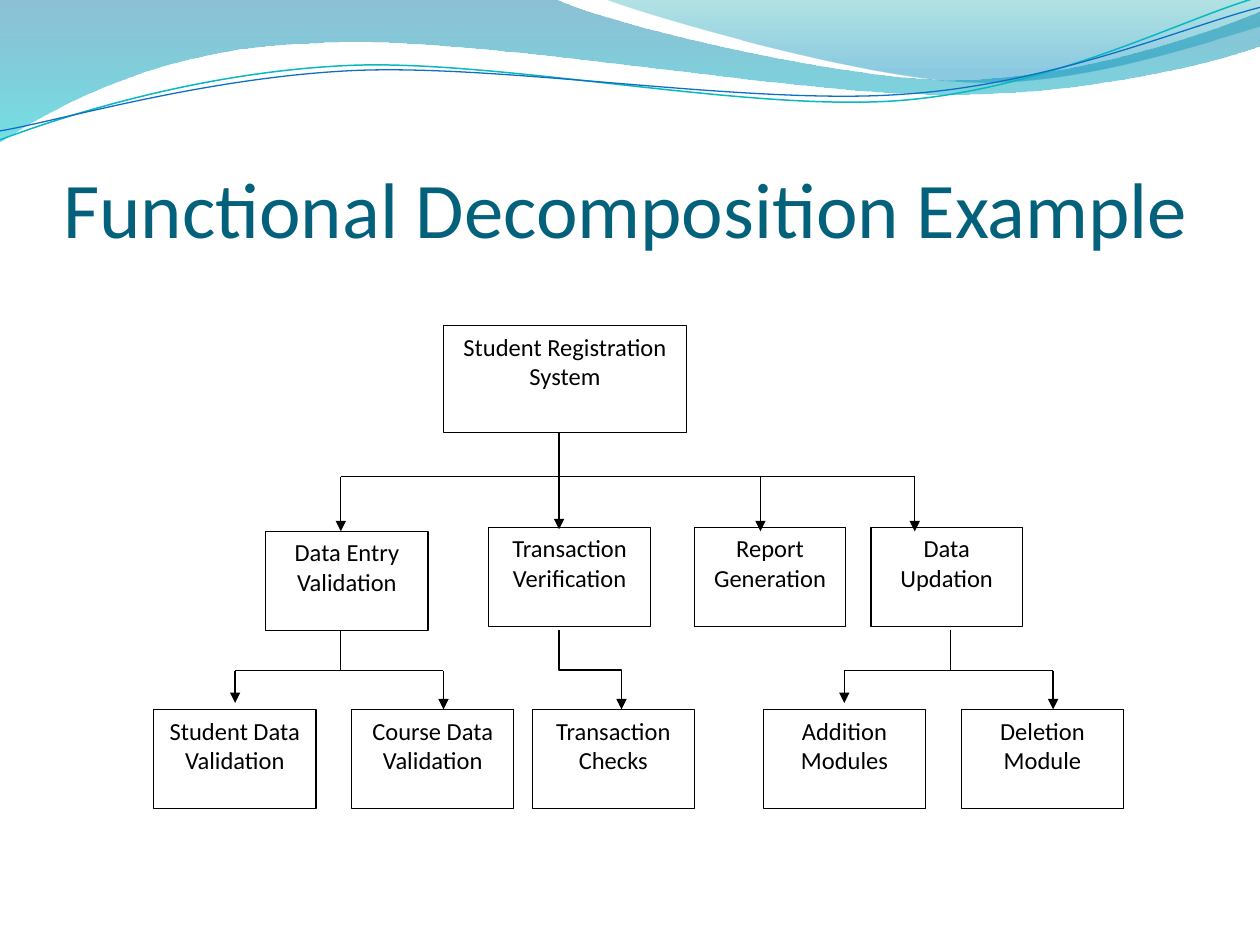
from lxml import etree
from pptx import Presentation
from pptx import util as u
from pptx.dml import color
from pptx.enum import shapes, text
from pptx.oxml import ns

FONT = "Calibri"
BLACK = "000000"

BROAD_WAVE = [
    (0, 0), (11.18, -0.03),
    (12.09, 0.43, 16.87, 1.6, 19.25, 1.6),
    (21.67, 1.6, 24.33, 0.66, 25.4, 0.23), (25.43, 0.91),
    (24.97, 1.12, 22.1, 1.93, 18.95, 1.9),
    (15.8, 1.9, 9.7, 0.71, 6.53, 0.86),
    (3.28, 0.91, 1.17, 2.11, -0.03, 2.87), (0, 0),
]
CORNER_WAVE = [
    (12.17, -0.03),
    (12.93, 0.28, 17.32, 1.57, 19.53, 1.65),
    (21.74, 1.75, 24.41, 0.81, 25.4, 0.53), (25.4, 0), (12.17, -0.03),
]
TEAL_STRAND = [
    (0, 2.82),
    (1.22, 2.36, 4.01, 1.45, 7.04, 1.32),
    (10.03, 1.19, 15.06, 2.26, 18.11, 2.03),
    (21.16, 1.8, 23.83, 0.38, 25.35, -0.05),
]
BLUE_STRAND = [
    (0, 2.64),
    (1.19, 2.44, 4.17, 1.55, 7.19, 1.42),
    (10.24, 1.3, 15.16, 2.13, 18.21, 1.9),
    (21.23, 1.7, 23.9, 0.53, 25.4, 0.15),
]

MODULES = [
    ("Student Registration System", 5.84, 0.01, 4.9, 2.16),
    ("Data Entry Validation", 2.26, 4.16, 3.27, 2),
    ("Transaction Verification", 6.75, 4.08, 3.27, 2),
    ("Report Generation", 10.9, 4.08, 3.05, 2),
    ("Data Updation", 14.46, 4.08, 3.05, 2),
    ("Student Data Validation", 0, 7.75, 3.27, 2),
    ("Course Data Validation", 3.99, 7.75, 3.27, 2),
    ("Transaction Checks", 7.63, 7.75, 3.27, 2),
    ("Addition Modules", 12.29, 7.75, 3.27, 2),
    ("Deletion Module", 16.28, 7.75, 3.27, 2),
]
BRANCHES = [
    (8.17, 2.17, 3.06, [(3.77, 4.16), (8.17, 4.12), (12.23, 4.16), (15.34, 4.16)]),
    (3.77, 6.16, 6.97, [(1.64, 7.62), (5.84, 7.75)]),
    (16.06, 6.16, 6.97, [(13.92, 7.62), (18.13, 7.75)]),
]


def rgb(value):
    """Turn a hex string into a colour."""
    return color.RGBColor.from_string(value)


def write(box, words, size, ink=BLACK, align=text.PP_ALIGN.LEFT, anchor=text.MSO_ANCHOR.TOP):
    """Put one formatted paragraph into a box."""
    frame = box.text_frame
    frame.word_wrap = True
    frame.vertical_anchor = anchor
    para = frame.paragraphs[0]
    para.alignment = align
    span = para.add_run()
    span.text = words
    span.font.name, span.font.size = FONT, u.Pt(size)
    span.font.color.rgb = rgb(ink)


def bend(shape, parts):
    """Merge the three segments of each six-number part into one cubic curve."""
    segments = iter(list(shape._element.spPr.iter(ns.qn("a:lnTo"))))
    for part in parts:
        first = next(segments)
        if len(part) == 6:
            first.tag = ns.qn("a:cubicBezTo")
            for extra in (next(segments), next(segments)):
                first.append(extra[0])
                extra.getparent().remove(extra)


def outline(page, left, top, path, close):
    """Draw a bare freeform of lines and cubic curves."""
    points = [(u.Cm(left + part[i]), u.Cm(top + part[i + 1]))
              for part in path for i in range(0, len(part), 2)]
    builder = page.shapes.build_freeform(*points[0])
    builder.add_line_segments(points[1:], close=close)
    shape = builder.convert_to_shape()
    bend(shape, path[1:])
    shape.shadow.inherit = False
    return shape


def wave(page, left, top, path, stops):
    """Draw a translucent wave shaded from top to bottom."""
    shape = outline(page, left, top, path, True)
    shape.line.fill.background()
    shape.fill.gradient()
    shape.fill.gradient_angle = 270
    for stop, (position, ink, opacity) in zip(shape.fill.gradient_stops, stops):
        stop.position = position
        stop.color.rgb = rgb(ink)
    inks = shape._element.spPr.iter(ns.qn("a:srgbClr"))
    for element, (position, ink, opacity) in zip(inks, stops):
        etree.SubElement(element, ns.qn("a:alpha"), val=str(opacity * 1000))


def strand(page, left, top, path, ink, width):
    """Draw a thin curved line."""
    shape = outline(page, left, top, path, False)
    shape.fill.background()
    shape.line.color.rgb = rgb(ink)
    shape.line.width = u.Pt(width)


def header(page, left, top):
    """Draw the waves along the top edge."""
    wave(page, left, top, BROAD_WAVE, [(0, "0074A1", 45), (1, "00C6CF", 55)])
    wave(page, left, top, CORNER_WAVE, [(0, "00A1A9", 30), (0.8, "008BBF", 45)])
    strand(page, left, top, TEAL_STRAND, "0AB8BF", 0.85)
    strand(page, left, top, BLUE_STRAND, "0F6FC6", 0.75)


def title(page, left, top, width, height, words):
    """Write the slide title at the bottom of its box."""
    box = page.shapes.add_textbox(*map(u.Cm, (left, top, width, height)))
    frame = box.text_frame
    frame.margin_left = frame.margin_right = frame.margin_bottom = 0
    write(box, words, 45, "04617B", anchor=text.MSO_ANCHOR.BOTTOM)


def module(page, left, top, width, height, words):
    """Draw one labelled box of the hierarchy."""
    box = page.shapes.add_shape(
        shapes.MSO_SHAPE.RECTANGLE, *map(u.Cm, (left, top, width, height)))
    box.shadow.inherit = False
    box.fill.solid()
    box.fill.fore_color.rgb = rgb("FFFFFF")
    box.line.color.rgb = rgb(BLACK)
    box.line.width = u.Pt(0.75)
    write(box, words, 14, align=text.PP_ALIGN.CENTER)


def link(page, start, end, arrow=False, kind=shapes.MSO_CONNECTOR.STRAIGHT):
    """Join two points, with an arrowhead at the end if asked."""
    line = page.shapes.add_connector(kind, *map(u.Cm, (*start, *end)))
    line.line.color.rgb = rgb(BLACK)
    line.line.width = u.Pt(0.75)
    if arrow:
        etree.SubElement(line.line._get_or_add_ln(), ns.qn("a:tailEnd"), type="triangle")
    etree.SubElement(line._element.spPr, ns.qn("a:effectLst"))
    return line


def branch(page, left, top, stem, start, bus, tips):
    """Draw a stem, a crossbar and an arrow down to each tip."""
    ends = [left + x for x, _ in tips]
    link(page, (left + stem, top + start), (left + stem, top + bus))
    link(page, (min(ends), top + bus), (max(ends), top + bus))
    for x, y in tips:
        link(page, (left + x, top + bus), (left + x, top + y), arrow=True)


def elbow(page, left, top, width, height):
    """Draw an arrow that runs down, across and down again through a box."""
    x, y = left + width / 2, top + height / 2
    line = link(page, (x + height / 2, y - width / 2), (x - height / 2, y + width / 2),
                arrow=True, kind=shapes.MSO_CONNECTOR.ELBOW)
    line._element.spPr.find(ns.qn("a:xfrm")).set("rot", "16200000")


def hierarchy(page, left, top):
    """Draw the boxes of the decomposition and their links."""
    for words, x, y, width, height in MODULES:
        module(page, left + x, top + y, width, height, words)
    for parts in BRANCHES:
        branch(page, left, top, *parts)
    elbow(page, left + 8.17, top + 6.16, 1.26, 1.59)


def main():
    """Build the slide and save the deck."""
    deck = Presentation()
    deck.slide_width, deck.slide_height = u.Cm(25.4), u.Cm(19.05)
    page = deck.slides.add_slide(deck.slide_layouts[6])
    header(page, 0, 0)
    title(page, 1.28, 1.94, 22.86, 3.18, "Functional Decomposition Example")
    hierarchy(page, 3.1, 6.55)
    deck.save("out.pptx")


if __name__ == "__main__":
    main()
